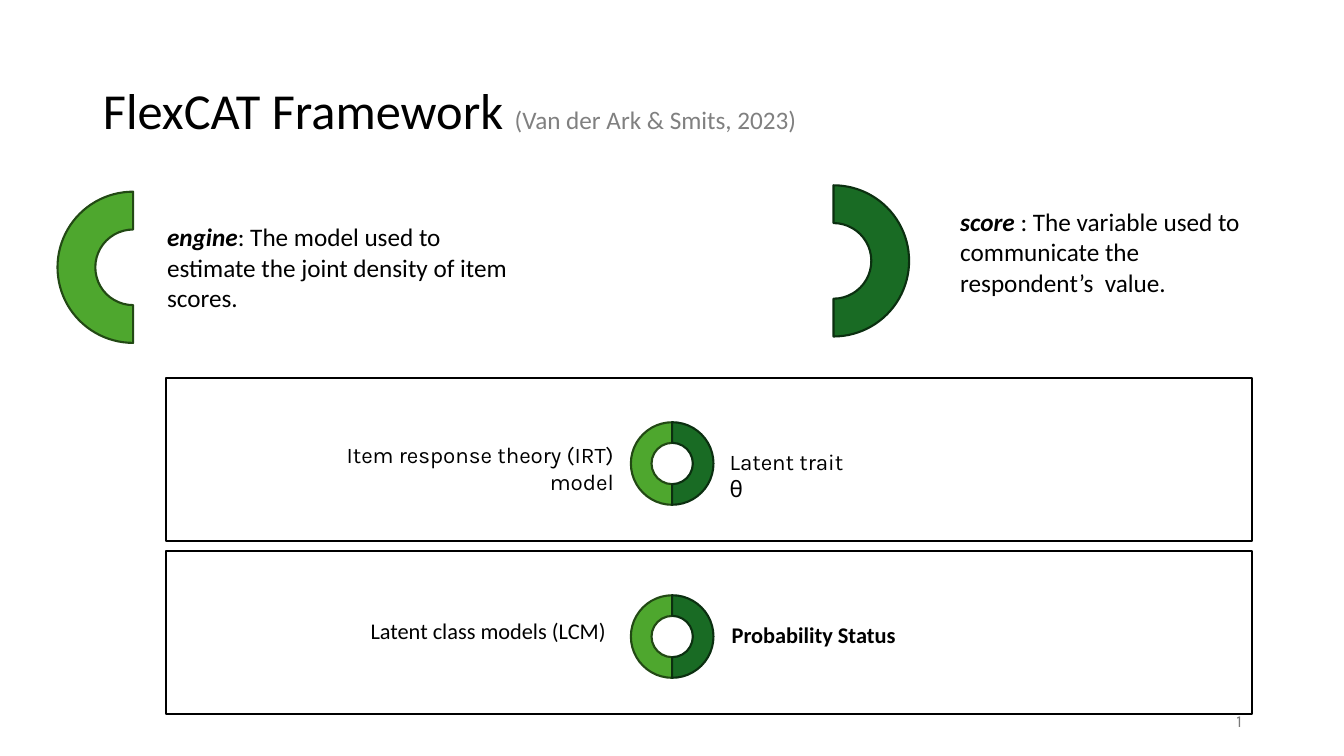
"""Build the FlexCAT framework slide: engine and score, with two model examples."""
from dataclasses import dataclass

from lxml import etree
from pptx import Presentation
from pptx.dml.color import RGBColor
from pptx.enum.shapes import MSO_SHAPE
from pptx.enum.text import MSO_ANCHOR, PP_ALIGN
from pptx.oxml.ns import qn
from pptx.util import Cm, Pt

ARC, RECTANGLE = MSO_SHAPE.BLOCK_ARC, MSO_SHAPE.RECTANGLE
LEFT, RIGHT = PP_ALIGN.LEFT, PP_ALIGN.RIGHT
MIDDLE = MSO_ANCHOR.MIDDLE


@dataclass(frozen=True)
class Theme:
    black: str = "000000"
    white: str = "FFFFFF"
    citation: str = "808080"
    number: str = "797979"
    engine: tuple = ("4EA72E", "224914")
    score: tuple = ("196B24", "0B2F10")
    main_font: str = "Calibri"
    alt_font: str = "Karla"
    title_size: int = 36
    body_size: int = 18
    label_size: int = 16
    number_size: int = 12


THEME = Theme()


def add_figure(kind, box, fill, line, rotation=0):
    figure = slide.shapes.add_shape(kind, *map(Cm, box))
    figure.rotation = rotation
    figure.shadow.inherit = False
    figure.fill.solid()
    figure.fill.fore_color.rgb = RGBColor.from_string(fill)
    figure.line.color.rgb = RGBColor.from_string(line)
    figure.line.width = Pt(1.5)


def add_text(box, lines, size, font=THEME.main_font, color=THEME.black, align=LEFT):
    frame = slide.shapes.add_textbox(*map(Cm, box)).text_frame
    frame.word_wrap = True
    frame.text = lines
    for paragraph in frame.paragraphs:
        paragraph.alignment = align
        paragraph.font.size = Pt(size)
        paragraph.font.name = font
        paragraph.font.color.rgb = RGBColor.from_string(color)
    return frame


deck = Presentation()
deck.slide_width, deck.slide_height = Cm(33.87), Cm(19.05)
slide = deck.slides.add_slide(deck.slide_layouts[5])

title = slide.shapes.title
title.left, title.top, title.width, title.height = map(Cm, (2.34, 1.02, 29.21, 3.68))
title.text_frame.vertical_anchor = MIDDLE
heading = title.text_frame.paragraphs[0]
heading.alignment = LEFT
heading.line_spacing = 0.9
for words, size, color in (
    ("FlexCAT Framework ", THEME.title_size, THEME.black),
    ("(Van der Ark & Smits, 2023)", THEME.body_size, THEME.citation),
):
    run = heading.add_run()
    run.text = words
    run.font.size = Pt(size)
    run.font.name = THEME.main_font
    run.font.color.rgb = RGBColor.from_string(color)

page = add_text((23.93, 17.65, 7.62, 1.02), "", THEME.number_size,
                THEME.alt_font, THEME.number, RIGHT)
page.vertical_anchor = MIDDLE
field = etree.SubElement(page.paragraphs[0]._p, qn("a:fld"), type="slidenum",
                         id="{B6F15528-21DE-4FAA-801E-634DDDAF4B2B}")
etree.SubElement(field, qn("a:rPr"), lang="en-US")
etree.SubElement(field, qn("a:t")).text = "9"

for arc_box, colors, rotation, text_box, term, meaning in (
    ((19.1, 4.67, 3.81, 3.81), THEME.score, 90, (23.95, 5.08, 8.46, 2.57),
     "score ", ": The variable used to communicate the respondent’s  value."),
    ((1.45, 4.83, 3.81, 3.81), THEME.engine, 270, (3.96, 5.46, 9.19, 2.57),
     "engine", ": The model used to estimate the joint density of item scores."),
):
    add_figure(ARC, arc_box, *colors, rotation)
    definition = add_text(text_box, term, THEME.body_size).paragraphs[0]
    definition.runs[0].font.bold = definition.runs[0].font.italic = True
    definition.add_run().text = meaning

for row in range(2):
    panel_top = 9.53 + 4.36 * row
    add_figure(RECTANGLE, (4.19, panel_top, 27.36, 4.11), THEME.white, THEME.black)
    for colors, rotation in ((THEME.engine, 270), (THEME.score, 90)):
        add_figure(ARC, (15.9, panel_top + 1.11, 2.08, 2.08), *colors, rotation)

add_text((6.3, 11, 9.42, 1.63), "Item response theory (IRT)\nmodel",
         THEME.label_size, THEME.alt_font, align=RIGHT)
add_text((18.14, 11.18, 3.61, 0.94), "Latent trait θ", THEME.label_size, THEME.alt_font)
add_text((9.09, 15.42, 6.71, 0.94), "Latent class models (LCM)", THEME.label_size)
status = add_text((18.19, 15.52, 4.95, 0.94), "Probability Status", THEME.label_size)
status.paragraphs[0].font.bold = True

deck.save("out.pptx")
